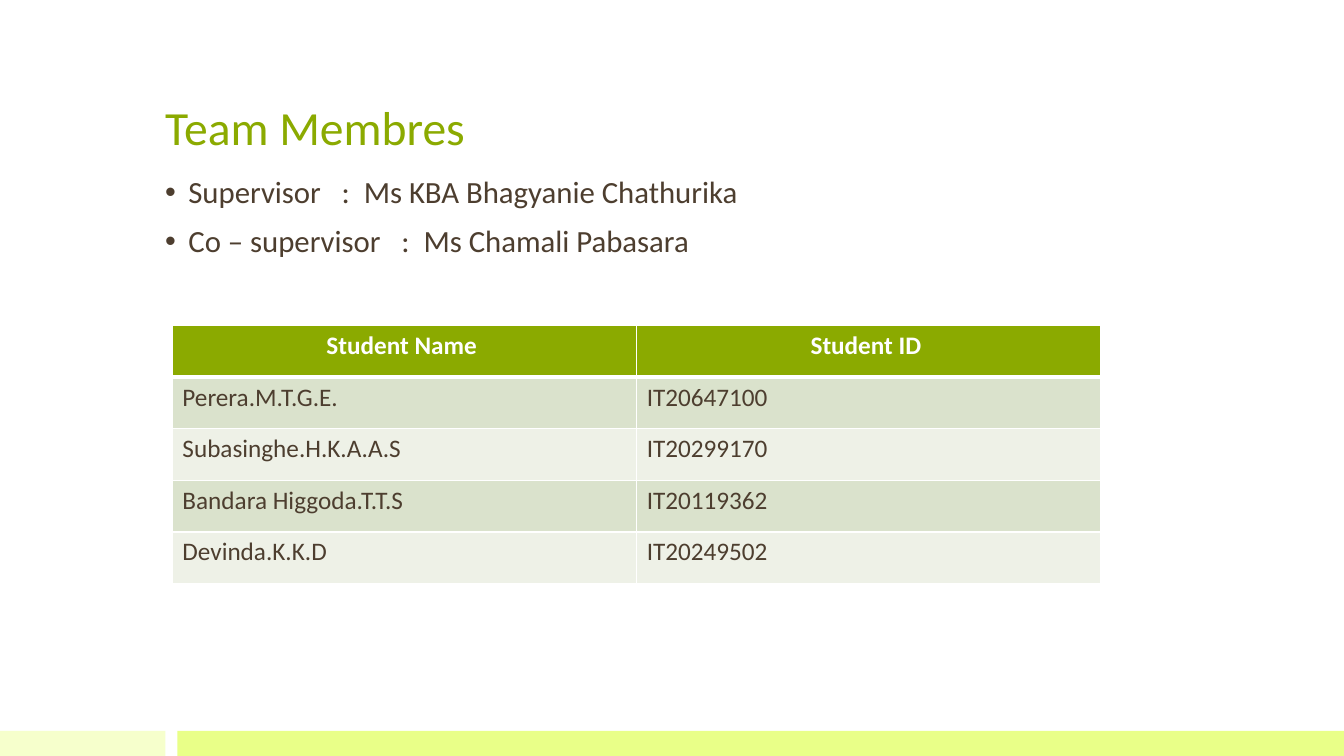
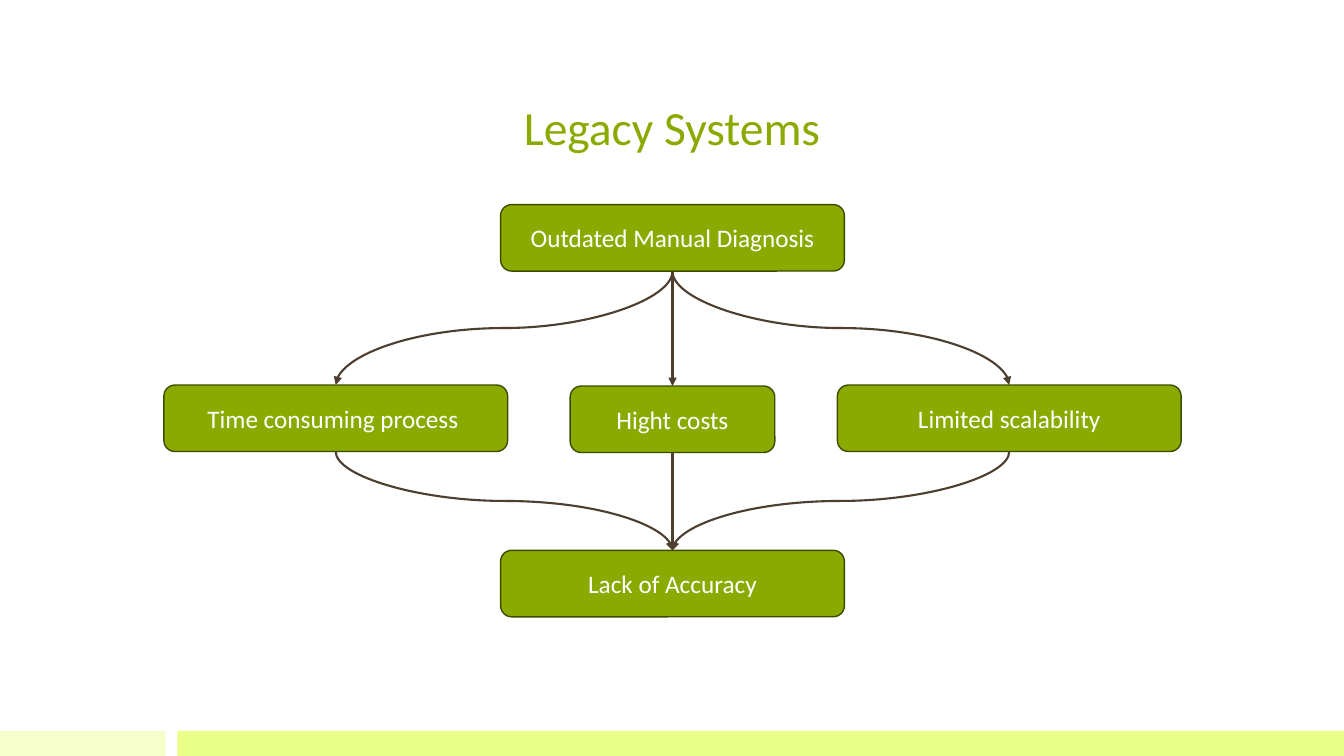
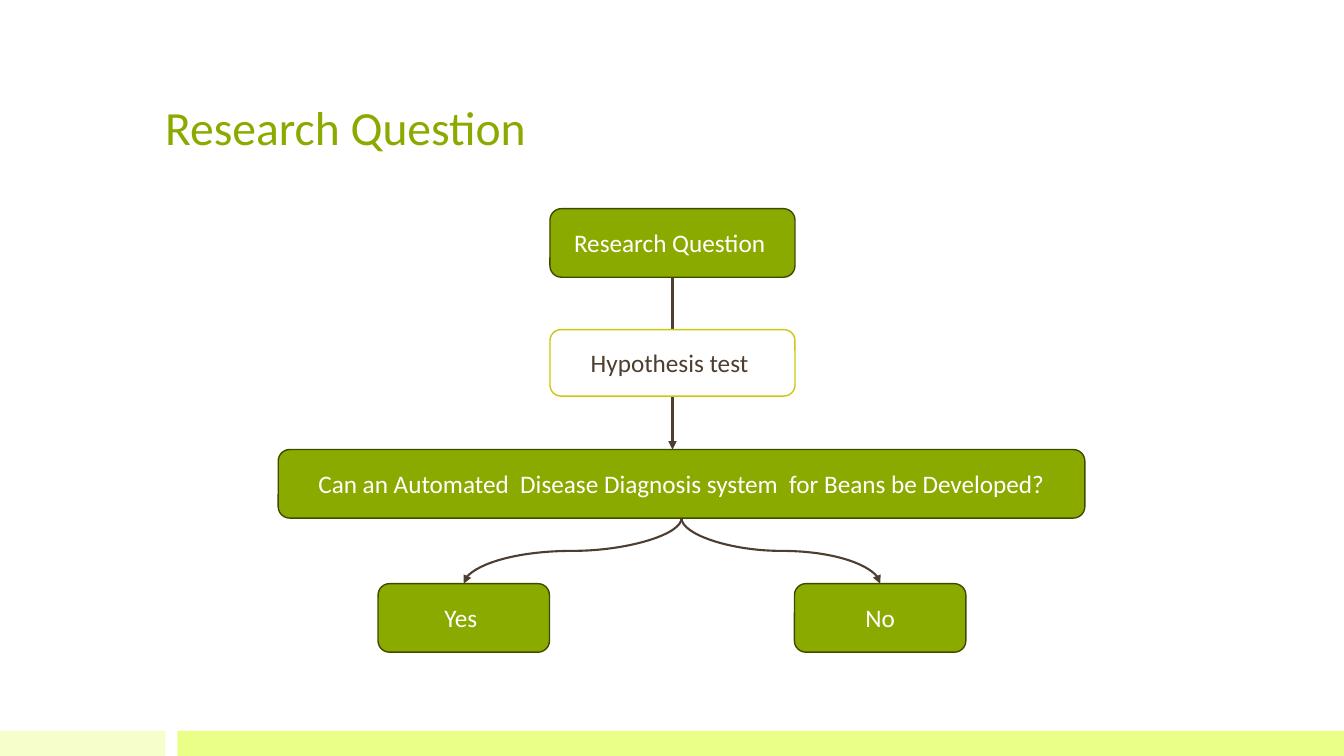
import pptx
import pptx.dml.color
import pptx.enum.shapes
import pptx.enum.text
import pptx.oxml
import pptx.oxml.ns
import pptx.util
from lxml import etree

Inches = pptx.util.Inches
Pt = pptx.util.Pt
RGBColor = pptx.dml.color.RGBColor
SHAPE = pptx.enum.shapes.MSO_SHAPE
CONNECTOR = pptx.enum.shapes.MSO_CONNECTOR
ALIGN = pptx.enum.text.PP_ALIGN
ANCHOR = pptx.enum.text.MSO_ANCHOR
qn = pptx.oxml.ns.qn

GREEN = RGBColor(0x8B, 0xAA, 0x00)
DARK_GREEN = RGBColor(0x3D, 0x4B, 0x00)
LIME = RGBColor(0xE9, 0xFF, 0x88)
PALE_LIME = RGBColor(0xF6, 0xFF, 0xCC)
OLIVE = RGBColor(0xCD, 0xC8, 0x0F)
BROWN = RGBColor(0x4D, 0x3E, 0x2F)
WHITE = RGBColor(0xFF, 0xFF, 0xFF)
ROW_FILLS = (RGBColor(0xDA, 0xE2, 0xCC), RGBColor(0xEE, 0xF1, 0xE7))
FONT = "Calibri"


class Deck:
    """Shared style and the slide being built."""

    def __init__(self):
        self.prs = pptx.Presentation()
        self.prs.slide_width = Inches(13.33)
        self.prs.slide_height = Inches(7.5)
        self.s = None

    def slide(self, title, align=ALIGN.LEFT):
        self.s = self.prs.slides.add_slide(self.prs.slide_layouts[6])
        self.shape(SHAPE.RECTANGLE, 0, 7.25, 1.64, 0.25, PALE_LIME)
        self.shape(SHAPE.RECTANGLE, 1.76, 7.25, 11.57, 0.25, LIME)
        tf = self.text_frame(1.54, 0.3, 10.25, 1.29)
        tf.vertical_anchor = ANCHOR.BOTTOM
        self.text(tf.paragraphs[0], title, 34, GREEN, align)

    def text(self, p, text, size, color, align=ALIGN.LEFT, bold=False):
        p.alignment = align
        r = p.add_run()
        r.text = text
        r.font.name = FONT
        r.font.size = Pt(size)
        r.font.bold = bold
        r.font.color.rgb = color

    def text_frame(self, x, y, w, h):
        tf = self.s.shapes.add_textbox(
            Inches(x), Inches(y), Inches(w), Inches(h)).text_frame
        tf.word_wrap = True
        return tf

    def shape(self, kind, x, y, w, h, fill, line=None):
        sp = self.s.shapes.add_shape(
            kind, Inches(x), Inches(y), Inches(w), Inches(h))
        sp.shadow.inherit = False
        sp.fill.solid()
        sp.fill.fore_color.rgb = fill
        if line is None:
            sp.line.fill.background()
        else:
            sp.line.color.rgb = line
            sp.line.width = Pt(1)
        return sp

    def box(self, text, cx, y, w, h, fill=GREEN, line=DARK_GREEN, color=WHITE):
        """Rounded box centred on cx."""
        sp = self.shape(SHAPE.ROUNDED_RECTANGLE, cx - w / 2, y, w, h, fill, line)
        tf = sp.text_frame
        tf.word_wrap = True
        tf.vertical_anchor = ANCHOR.MIDDLE
        self.text(tf.paragraphs[0], text, 18, color, ALIGN.CENTER)
        return sp

    def bullets(self, items, x, y, w, h):
        tf = self.text_frame(x, y, w, h)
        for i, item in enumerate(items):
            p = tf.add_paragraph() if i else tf.paragraphs[0]
            p.line_spacing = 0.9
            p.space_before = Pt(11)
            self.text(p, item, 22, BROWN)
            pPr = p._p.get_or_add_pPr()
            pPr.set("marL", str(Inches(0.23)))
            pPr.set("indent", str(-Inches(0.23)))
            etree.SubElement(pPr, qn("a:buFont")).set("typeface", "Arial")
            etree.SubElement(pPr, qn("a:buChar")).set("char", "•")

    def arrow(self, a, b):
        """Arrow from the bottom of box a down to the top of box b."""
        x1, y1 = a.left + a.width // 2, a.top + a.height
        x2, y2 = b.left + b.width // 2, b.top
        curved = abs(x2 - x1) > Inches(0.2)
        if not curved:
            x2 = x1
        cn = self.s.shapes.add_connector(
            CONNECTOR.CURVE if curved else CONNECTOR.STRAIGHT, x1, y1, x2, y2)
        spPr = cn._element.spPr
        if curved:
            cn.begin_connect(a, 2)
            cn.end_connect(b, 0)
            # A curve that leaves downwards is a sideways curve turned a quarter
            w, h = y2 - y1, abs(x2 - x1)
            xfrm = spPr.find(qn("a:xfrm"))
            xfrm.attrib.clear()
            xfrm.set("rot", str((270 if x2 > x1 else 90) * 60000))
            if x2 > x1:
                xfrm.set("flipH", "1")
            cn.left, cn.top = (x1 + x2 - w) // 2, (y1 + y2 - h) // 2
            cn.width, cn.height = w, h
        cn.line.color.rgb = BROWN
        cn.line.width = Pt(1.5)
        ln = spPr.find(qn("a:ln"))
        etree.SubElement(ln, qn("a:tailEnd")).set("type", "triangle")
        etree.SubElement(spPr, qn("a:effectLst"))

    def border(self, cell, side, width):
        ln = etree.SubElement(cell._tc.get_or_add_tcPr(), qn("a:" + side))
        ln.set("w", str(Pt(width)))
        fill = etree.SubElement(ln, qn("a:solidFill"))
        etree.SubElement(fill, qn("a:srgbClr")).set("val", str(WHITE))

    def table(self, rows, x, y, w, h):
        tbl = self.s.shapes.add_table(
            len(rows), len(rows[0]),
            Inches(x), Inches(y), Inches(w), Inches(h)).table
        for i, row in enumerate(rows):
            header = i == 0
            fill = GREEN if header else ROW_FILLS[(i - 1) % 2]
            for j, text in enumerate(row):
                cell = tbl.cell(i, j)
                self.border(cell, "lnL", 1)
                self.border(cell, "lnR", 1)
                self.border(cell, "lnT", 3 if i == 1 else 1)
                self.border(cell, "lnB", 3 if header else 1)
                cell.fill.solid()
                cell.fill.fore_color.rgb = fill
                self.text(cell.text_frame.paragraphs[0], text, 18,
                          WHITE if header else BROWN,
                          ALIGN.CENTER if header else ALIGN.LEFT, header)


def team(d):
    d.slide("Team Membres")
    d.bullets(["Supervisor   :  Ms KBA Bhagyanie Chathurika",
               "Co – supervisor   :  Ms Chamali Pabasara"],
              1.54, 1.71, 10.25, 5.05)
    d.table([("Student Name ", "Student ID "),
             ("Perera.M.T.G.E.", "IT20647100"),
             ("Subasinghe.H.K.A.A.S", "IT20299170"),
             ("Bandara Higgoda.T.T.S", "IT20119362"),
             ("Devinda.K.K.D", "IT20249502")], 1.71, 3.23, 9.21, 2.56)


def legacy_systems(d):
    d.slide("Legacy Systems", ALIGN.CENTER)
    mid, step, w, h = 6.67, 3.34, 3.41, 0.66
    cause = d.box("Outdated Manual Diagnosis", mid, 2.03, w, h)
    problems = [d.box("Time consuming process ", mid - step, 3.82, w, h),
                d.box("Hight costs", mid, 3.83, 2.03, h),
                d.box("Limited scalability", mid + step, 3.82, w, h)]
    result = d.box("Lack of Accuracy", mid, 5.46, w, h)
    for problem in problems:
        d.arrow(cause, problem)
        d.arrow(problem, result)


def research_question(d):
    d.slide("Research Question")
    mid, h = 6.67, 0.68
    topic = d.box("Research Question ", mid, 2.07, 2.43, h)
    question = d.box(
        "Can an Automated  Disease Diagnosis system  for Beans be Developed?",
        6.76, 4.46, 8, h)
    # The test box sits on top of the arrow
    d.arrow(topic, question)
    d.box("Hypothesis test ", mid, 3.27, 2.43, 0.66, WHITE, OLIVE, BROWN)
    for answer, cx in (("Yes ", 4.6), ("No", 8.73)):
        d.arrow(question, d.box(answer, cx, 5.79, 1.7, h))


def main():
    d = Deck()
    team(d)
    legacy_systems(d)
    research_question(d)
    d.prs.save("out.pptx")


if __name__ == "__main__":
    main()
